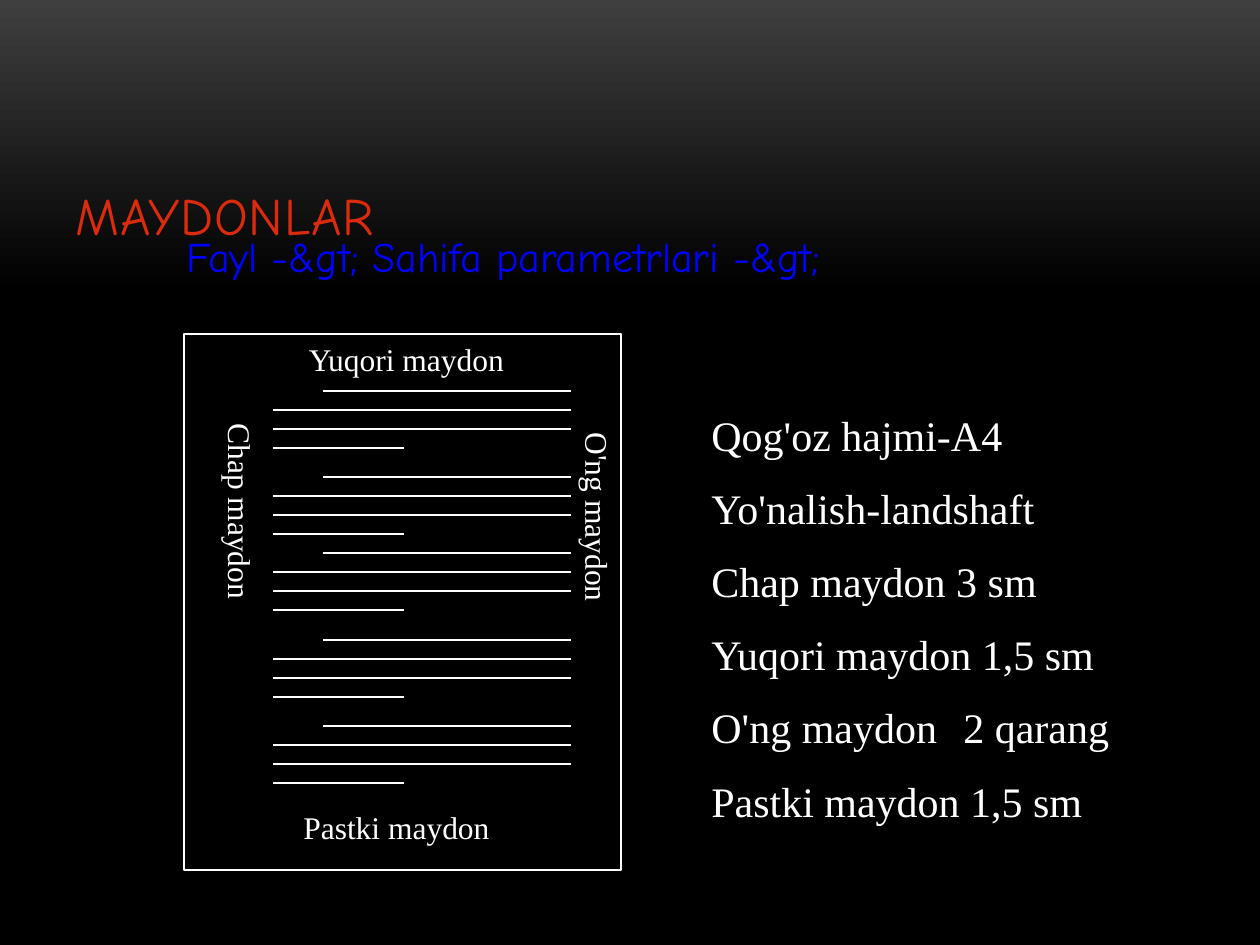
import copy
from dataclasses import dataclass

import pptx
import pptx.dml.color
import pptx.enum.shapes
import pptx.enum.text
import pptx.oxml
import pptx.oxml.ns
import pptx.util

EMU_PER_PX = 914400 / 126
ALIGN = pptx.enum.text.PP_ALIGN
ANCHOR = pptx.enum.text.MSO_ANCHOR
AUTO = pptx.enum.text.MSO_AUTO_SIZE


def px(length):
    return pptx.util.Emu(round(length * EMU_PER_PX))


def rgb(value):
    return pptx.dml.color.RGBColor.from_string(value)


def apply(target, values):
    for name, value in values.items():
        setattr(target, name, value)


@dataclass(frozen=True)
class Theme:
    ink: str = "FFFFFF"
    paper: str = "000000"
    glow: str = "3F3F3F"
    title: str = "DA2B0E"
    menu: str = "0000FF"
    display_font: str = "Comic Neue"
    body_font: str = "Times New Roman"
    title_size: int = 30
    body_size: int = 24
    label_size: int = 18
    line_width: float = 0.75


class SlideBuilder:
    def __init__(self, theme, page):
        self.theme = theme
        self.page = page

    def background(self):
        fill = self.page.background.fill
        fill.gradient()
        fill.gradient_angle = 270
        stops = fill.gradient_stops
        for stop, color, position in zip(stops, (self.theme.glow, self.theme.paper), (0, 0.31)):
            stop.color.rgb = rgb(color)
            stop.position = position
        last = self.page.background._cSld.findall(".//" + pptx.oxml.ns.qn("a:gs"))[-1]
        end = copy.deepcopy(last)
        end.set("pos", "100000")
        last.addnext(end)

    def outline(self, shape):
        apply(shape.line, {"width": pptx.util.Pt(self.theme.line_width)})
        shape.line.color.rgb = rgb(self.theme.ink)

    def sheet(self, left, top, width, height):
        shape = self.page.shapes.add_shape(
            pptx.enum.shapes.MSO_SHAPE.RECTANGLE, px(left), px(top), px(width), px(height))
        shape.shadow.inherit = False
        shape.fill.solid()
        shape.fill.fore_color.rgb = rgb(self.theme.paper)
        self.outline(shape)

    def rule(self, left, right, y):
        line = self.page.shapes.add_connector(
            pptx.enum.shapes.MSO_CONNECTOR.STRAIGHT, px(left), px(y), px(right), px(y))
        self.outline(line)
        line._element.spPr.append(pptx.oxml.parse_xml(
            "<a:effectLst %s/>" % pptx.oxml.ns.nsdecls("a")))

    def text(self, lines, place, size, font, color, align=ALIGN.LEFT,
             anchor=ANCHOR.TOP, auto=AUTO.SHAPE_TO_FIT_TEXT, gap=0,
             spacing=0, vertical=False):
        box = self.page.shapes.add_textbox(*map(px, place))
        frame = box.text_frame
        apply(frame, {"word_wrap": True, "auto_size": auto, "vertical_anchor": anchor})
        if vertical:
            frame._txBody.bodyPr.set("vert", "eaVert")
        for index, line in enumerate(lines):
            para = frame.add_paragraph() if index else frame.paragraphs[0]
            apply(para, {"alignment": align,
                         "space_before": pptx.util.Pt(gap if index else 0)})
            span = para.add_run()
            span.text = line
            apply(span.font, {"size": pptx.util.Pt(size), "name": font})
            span.font.color.rgb = rgb(color)
            if spacing:
                span._r.get_or_add_rPr().set("spc", str(spacing))

    def label(self, words, place, vertical=False):
        self.text([words], place, self.theme.label_size, self.theme.body_font,
                  self.theme.ink, align=ALIGN.CENTER, vertical=vertical)


def main():
    theme = Theme()
    deck = pptx.Presentation()
    apply(deck, {"slide_width": px(1260), "slide_height": px(945)})
    builder = SlideBuilder(theme, deck.slides.add_slide(deck.slide_layouts[6]))

    builder.background()
    builder.text(["MAYDONLAR"], (63, 63, 1134, 189), theme.title_size,
                 theme.display_font, theme.title, anchor=ANCHOR.BOTTOM,
                 auto=AUTO.NONE, spacing=50)

    builder.sheet(184, 334, 437, 536)
    paragraph_rules = [(323, 571), (273, 571), (273, 571), (273, 404)]
    for top in (391, 477, 553, 640, 726):
        for row, (left, right) in enumerate(paragraph_rules):
            builder.rule(left, right, top + 19 * row)

    builder.label("Yuqori maydon", (223, 334, 367, 50))
    builder.label("Pastki maydon", (213, 802, 367, 50))
    builder.label("Chap maydon", (203, 411, 63, 392), vertical=True)
    builder.label("O'ng maydon", (560, 420, 63, 392), vertical=True)

    settings = ["Qog'oz hajmi-A4", "Yo'nalish-landshaft", "Chap maydon 3 sm",
                "Yuqori maydon 1,5 sm", "O'ng maydon\t2 qarang",
                "Pastki maydon 1,5 sm"]
    builder.text(settings, (699, 403, 529, 591), theme.body_size,
                 theme.body_font, theme.ink, gap=13)
    builder.text(["Fayl -&gt; Sahifa parametrlari -&gt;"], (174, 224, 1002, 63),
                 theme.body_size, theme.display_font, theme.menu)

    deck.save("out.pptx")


if __name__ == "__main__":
    main()
